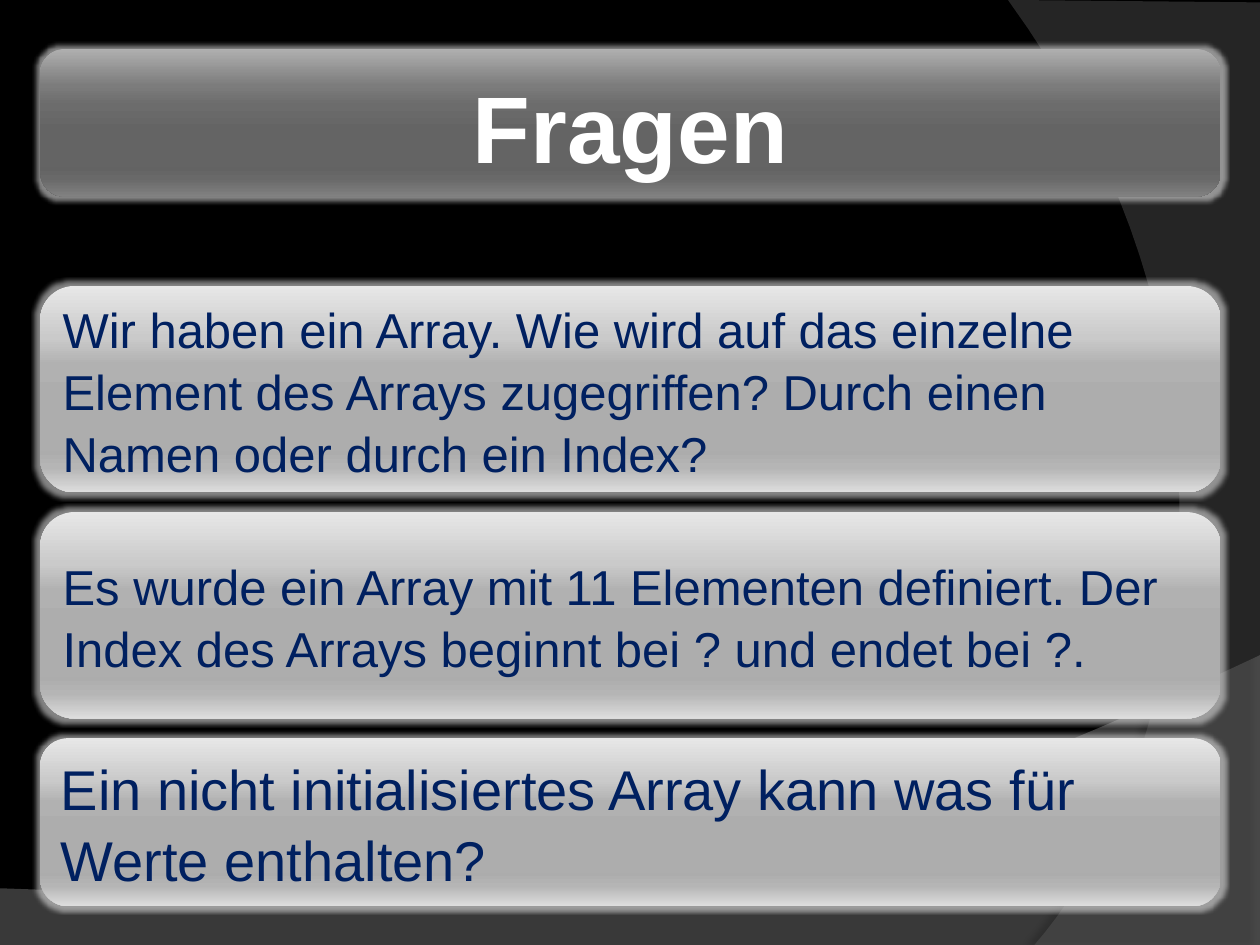
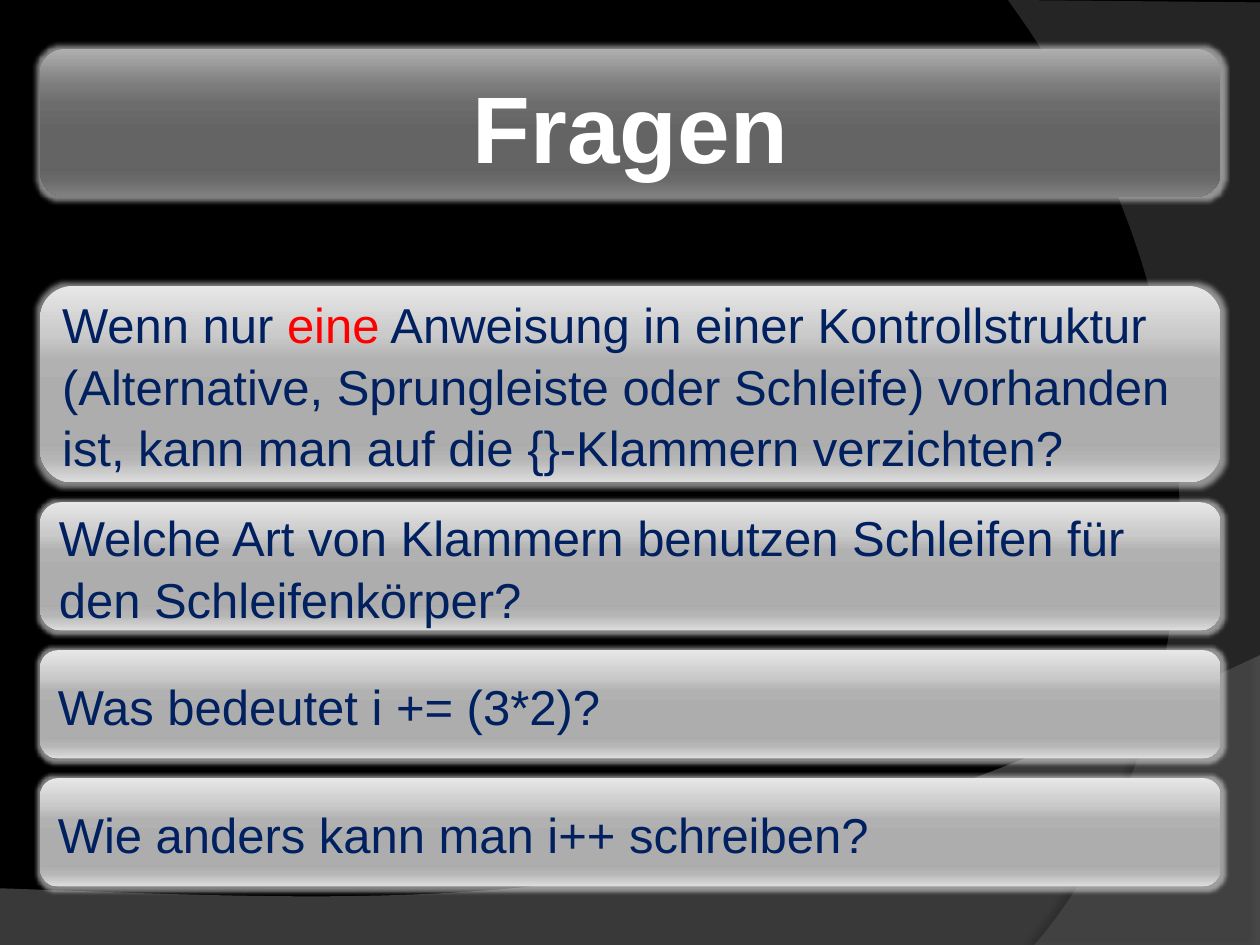
from lxml import etree
from pptx import Presentation
from pptx import util as u
from pptx.dml.color import RGBColor
from pptx.enum import shapes, text
from pptx.oxml.ns import qn

HUES = {
    "back": "000000",
    "floor": "7F7F7F",
    "side": "5E5E5E",
    "glow": "DDDDDD",
    "title": "FFFFFF",
    "text": "002060",
    "mark": "FF0000",
}
STOPS = (0, 25, 38, 55, 80, 88, 100)
DARK = ("AFAFAF", "7C7C7C", "6C6C6C", "646464", "636363", "696969", "818181")
LIGHT = ("E7E7E7", "CACACA", "B1B1B1", "ADADAD", "ACACAC", "B5B5B5", "DDDDDD")
FONT = "Arial"
LEFT, WIDTH = 23, 674.6
BAND_TOP, BAND_HIGH = 28, 84.4
BOX_TOP, GAP = 163.4, 11.2


def curve(start, one, two, end, steps=40):
    for n in range(steps + 1):
        t = n / steps
        s = 1 - t
        yield tuple(
            s**3 * a + 3 * s * s * t * b + 3 * s * t * t * c + t**3 * d
            for a, b, c, d in zip(start, one, two, end)
        )


def tint(node, hue, alpha):
    clr = etree.SubElement(node, qn("a:srgbClr"), val=hue)
    etree.SubElement(clr, qn("a:alpha"), val=str(alpha * 1000))


class Deck:
    def __init__(self):
        self.prs = Presentation()
        self.prs.slide_width, self.prs.slide_height = u.Pt(720), u.Pt(540)
        self.base = self.prs.slide_layouts[5]
        fill = self.prs.slide_master.background.fill
        fill.solid()
        fill.fore_color.rgb = RGBColor.from_string(HUES["back"])
        self.slide = None
        self.top = BOX_TOP

    def start(self):
        self.slide = self.prs.slides.add_slide(self.base)
        self.top = BOX_TOP

    def share(self, shape, place):
        self.base.shapes.element.insert(place, shape.element)

    def effect(self, shape, kind, hue, alpha, **attrs):
        shape.shadow.inherit = False
        root = shape.element.spPr.find(qn("a:effectLst"))
        tint(etree.SubElement(root, qn("a:" + kind), **attrs), hue, alpha)

    def wave(self, points, hue, alpha, dist, angle, shade):
        spots = [(u.Pt(x), u.Pt(y)) for x, y in points]
        form = self.slide.shapes.build_freeform(*spots[0], scale=1.0)
        form.add_line_segments(spots[1:], close=True)
        shape = form.convert_to_shape()
        shape.fill.solid()
        shape.fill.fore_color.rgb = RGBColor.from_string(hue)
        clr = shape.element.spPr.find(qn("a:solidFill"))[0]
        etree.SubElement(clr, qn("a:alpha"), val=str(alpha * 1000))
        shape.line.fill.background()
        self.effect(shape, "outerShdw", HUES["back"], shade, blurRad=str(u.Pt(4)),
                    dist=str(u.Pt(dist)), dir=str(angle * 60000), rotWithShape="0")
        return shape

    def panel(self, top, high, hues):
        shape = self.slide.shapes.add_shape(
            shapes.MSO_SHAPE.ROUNDED_RECTANGLE,
            u.Pt(LEFT), u.Pt(top), u.Pt(WIDTH), u.Pt(high))
        shape.fill.gradient()
        shape.fill.gradient_angle = 270
        stops = shape.element.spPr.find(".//" + qn("a:gsLst"))
        for old in list(stops):
            stops.remove(old)
        for stop, hue in zip(STOPS, hues):
            node = etree.SubElement(stops, qn("a:gs"), pos=str(stop * 1000))
            etree.SubElement(node, qn("a:srgbClr"), val=hue)
        shape.line.fill.background()
        self.effect(shape, "glow", HUES["glow"], 60, rad=str(u.Pt(5)))
        return shape

    def style(self, frame, size, hue, align, bold=False):
        frame.word_wrap = True
        frame.auto_size = text.MSO_AUTO_SIZE.NONE
        frame.vertical_anchor = text.MSO_ANCHOR.MIDDLE
        for para in frame.paragraphs:
            para.alignment = align
            para.line_spacing = 1.05
            for run in para.runs:
                run.font.name, run.font.size, run.font.bold = FONT, u.Pt(size), bold
                run.font.color.rgb = RGBColor.from_string(hue)

    def title(self, words):
        head = self.slide.shapes.title
        head.left, head.top = u.Pt(LEFT), u.Pt(BAND_TOP)
        head.width, head.height = u.Pt(WIDTH), u.Pt(BAND_HIGH)
        head.text_frame.text = words
        self.style(head.text_frame, 54, HUES["title"], text.PP_ALIGN.CENTER, True)

    def box(self, high, parts, size=28, mark=None):
        frame = self.panel(self.top, high, LIGHT).text_frame
        for part in parts:
            frame.paragraphs[0].add_run().text = part
        self.style(frame, size, HUES["text"], text.PP_ALIGN.LEFT)
        if mark is not None:
            run = frame.paragraphs[0].runs[mark]
            run.font.color.rgb = RGBColor.from_string(HUES["mark"])
        self.top += high + GAP

    def frame(self):
        floor = [(0, 507.6), (0, 540), (720, 540)]
        floor += curve((720, 374.4), (402.5, 524.9), (281.5, 517.7), (0, 507.6))
        side = [(720, 1.4), (720, 540)]
        side += curve((591.1, 540), (673.2, 445.7), (733, 216), (576, 0))
        parts = (
            self.wave(floor, HUES["floor"], 45, 3.5, 270, 35),
            self.wave(side, HUES["side"], 40, 4, 180, 45),
            self.panel(BAND_TOP, BAND_HIGH, DARK),
        )
        for place, part in enumerate(parts, 2):
            self.share(part, place)


def main():
    deck = Deck()
    deck.start()
    deck.frame()
    deck.title("Fragen")
    deck.box(118, ["Wir haben ein Array. Wie wird auf das einzelne Element des Arrays "
                   "zugegriffen? Durch einen Namen oder durch ein Index?"])
    deck.box(118, ["Es wurde ein Array mit 11 Elementen definiert. Der Index des Arrays "
                   "beginnt bei ? und endet bei ?."])
    deck.box(96, ["Ein nicht initialisiertes Array kann was für Werte enthalten?"], 32)

    deck.start()
    deck.title("Fragen")
    deck.box(112.3, ["Wenn nur ", "eine", " Anweisung in einer Kontrollstruktur "
                     "(Alternative, Sprungleiste oder Schleife) vorhanden ist, "
                     "kann man auf die {}-Klammern verzichten?"], mark=1)
    deck.box(73.4, ["Welche Art von Klammern benutzen Schleifen für den Schleifenkörper?"])
    for words in ("Was bedeutet i += (3*2)?", "Wie anders kann man i++ schreiben?"):
        deck.box(61.9, [words])
    deck.prs.save("out.pptx")


if __name__ == "__main__":
    main()
